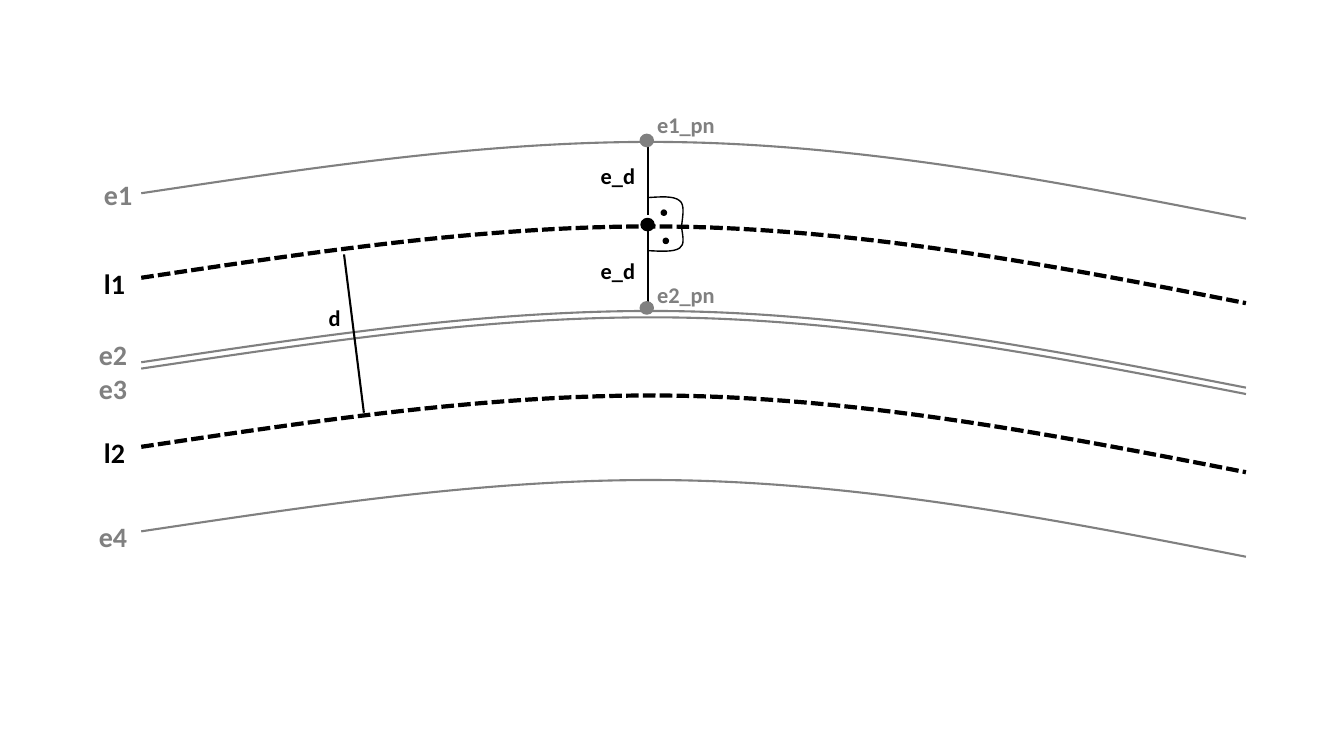
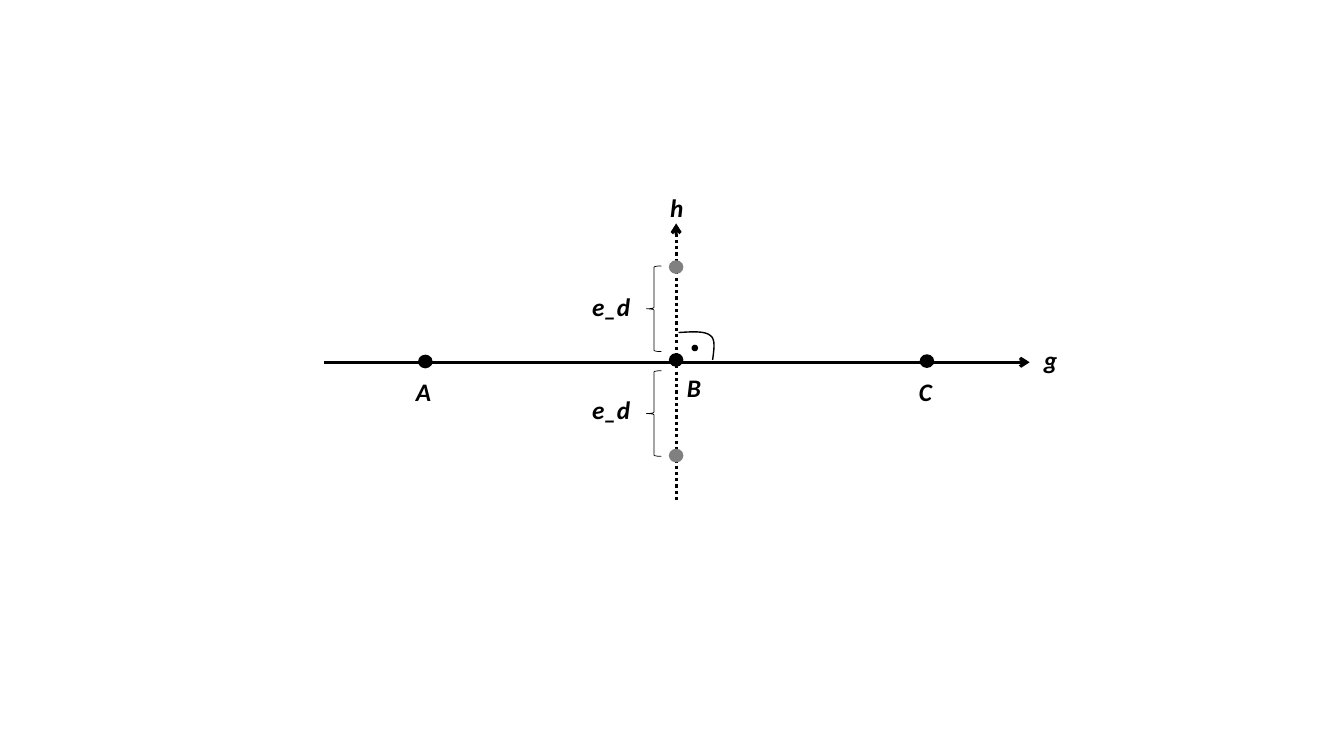
import pptx
import pptx.util
import pptx.dml.color
import pptx.enum.dml
import pptx.enum.shapes
import pptx.enum.text
import pptx.oxml
import pptx.oxml.ns

Cm, Pt = pptx.util.Cm, pptx.util.Pt
SHAPE = pptx.enum.shapes.MSO_SHAPE
DASH = pptx.enum.dml.MSO_LINE
NS = pptx.oxml.ns.nsdecls("a")

COLORS = {"main": "000000", "edge": "808080"}
FONT = "Calibri"
DOT = (0.33, 0.31)
TINY_DOT = (0.13, 0.13)
LINE_HEIGHT = {16: 0.94, 18: 1.02, 20: 1.11}

# Bezier control points in cm, relative to the start of each curve
LANE = [(0, 0), (4.62, -0.69), (9.25, -1.4), (13.89, -1.28),
        (18.54, -1.16), (23.19, -0.27), (27.84, 0.64)]
ANGLE = [(0, 0), (0.03, -0.25), (0.08, -0.51), (-0.05, -0.61),
         (-0.2, -0.74), (-0.53, -0.71), (-0.86, -0.69)]


def rgb(color):
    """Return the named colour."""
    return pptx.dml.color.RGBColor.from_string(COLORS[color])


def style_line(line, color, width, dash=None):
    """Set colour, width and dash of a line."""
    line.color.rgb = rgb(color)
    line.width = Pt(width)
    if dash is not None:
        line.dash_style = dash


def add_curve(s, x, y, points, color, width, dash=None, stretch=1):
    """Draw cubic Bezier segments from x, y; stretch scales or flips height."""
    track = [(Cm(x + dx), Cm(y + dy * stretch)) for dx, dy in points]
    builder = s.shapes.build_freeform(*track[0], scale=1.0)
    builder.add_line_segments(track[3::3], close=False)
    sp = builder.convert_to_shape()
    segments = list(sp._element.iter(pptx.oxml.ns.qn("a:lnTo")))
    for i, segment in enumerate(segments):
        controls = "".join(f'<a:pt x="{px - sp.left}" y="{py - sp.top}"/>'
                           for px, py in track[3 * i + 1:3 * i + 4])
        segment.getparent().replace(segment, pptx.oxml.parse_xml(
            f"<a:cubicBezTo {NS}>{controls}</a:cubicBezTo>"))
    sp.shadow.inherit = False
    sp.fill.background()
    style_line(sp.line, color, width, dash)


def add_line(s, x1, y1, x2, y2, width, dash=None, arrow=None):
    """Draw a straight line; arrow is headEnd, tailEnd or None."""
    line = s.shapes.add_connector(pptx.enum.shapes.MSO_CONNECTOR.STRAIGHT,
                                  Cm(x1), Cm(y1), Cm(x2), Cm(y2))
    style_line(line.line, "main", width, dash)
    if arrow:
        line.line._get_or_add_ln().append(
            pptx.oxml.parse_xml(f'<a:{arrow} {NS} type="arrow"/>'))
    line._element.spPr.append(pptx.oxml.parse_xml(f"<a:effectLst {NS}/>"))


def add_dot(s, x, y, color="main", size=DOT):
    """Draw a filled dot centred on x, y."""
    w, h = size
    sp = s.shapes.add_shape(SHAPE.OVAL, Cm(x - w / 2), Cm(y - h / 2), Cm(w), Cm(h))
    sp.shadow.inherit = False
    sp.fill.solid()
    sp.fill.fore_color.rgb = rgb(color)
    style_line(sp.line, color, 1)


def add_brace(s, x, y):
    """Draw a thin brace that opens to the right."""
    sp = s.shapes.add_shape(SHAPE.RIGHT_BRACE, Cm(x), Cm(y), Cm(0.38), Cm(2.16))
    sp.rotation = 180
    sp.shadow.inherit = False
    sp.fill.background()
    style_line(sp.line, "main", 0.5)


def add_label(s, x, y, w, text, size, color="main", italic=False):
    """Write a bold label, one paragraph for each line of text."""
    lines = text.count("\n") + 1
    tb = s.shapes.add_textbox(Cm(x), Cm(y), Cm(w), Cm(LINE_HEIGHT[size] * lines))
    tf = tb.text_frame
    tf.word_wrap = True
    tf.auto_size = pptx.enum.text.MSO_AUTO_SIZE.SHAPE_TO_FIT_TEXT
    tf.text = text
    for p in tf.paragraphs:
        for r in p.runs:
            r.font.name, r.font.size = FONT, Pt(size)
            r.font.bold = True
            if italic:
                r.font.italic = True
            r.font.color.rgb = rgb(color)


def draw_lanes(s, left, top):
    """Draw the lane centre lines and edges with their names."""
    half_lane = 2.13
    start = top + 1.27
    for level in (1, 3):
        add_curve(s, left, start + level * half_lane, LANE, "main", 3,
                  DASH.SQUARE_DOT)
    for offset in (0, 2 * half_lane, 2 * half_lane + 0.16, 4 * half_lane):
        add_curve(s, left, start + offset, LANE, "edge", 1.5)
    for text, dx, dy, w, color in (
            ("e1", -1.19, 0.76, 1.52, "edge"),
            ("l1", -1.19, 3.0, 1.27, "main"),
            ("e2\ne3", -1.32, 4.78, 1.52, "edge"),
            ("l2", -1.19, 7.26, 1.27, "main"),
            ("e4", -1.32, 9.37, 1.52, "edge")):
        add_label(s, left + dx, top + dy, w, text, 20, color)


def draw_distances(s, left, top):
    """Draw the normal through l1, its right angles and the lane distance."""
    normal = left + 12.76
    add_line(s, normal, top + 0.03, normal, top + 1.83, 1.5)
    add_line(s, normal, top + 2.18, normal, top + 4.06, 1.5)
    add_line(s, left + 5.11, top + 2.81, left + 5.61, top + 6.8, 1.5)
    add_curve(s, normal + 0.86, top + 2.07, ANGLE, "main", 1)
    add_curve(s, normal + 0.86, top + 2.15, ANGLE, "main", 1, stretch=-0.82)
    add_dot(s, normal + 0.41, top + 1.76, size=TINY_DOT)
    add_dot(s, normal + 0.46, top + 2.47, size=TINY_DOT)
    add_dot(s, normal, top + 2.06)
    for y in (-0.06, 4.16):
        add_dot(s, normal - 0.02, top + y, "edge")
    for text, x, y, w, color in (
            ("e_d", normal - 1.43, 0.36, 1.65, "main"),
            ("e_d", normal - 1.43, 2.75, 1.65, "main"),
            ("d", left + 4.47, 3.94, 0.94, "main"),
            ("e1_pn", normal - 0.01, -0.93, 2.18, "edge"),
            ("e2_pn", normal - 0.01, 3.36, 2.18, "edge")):
        add_label(s, x, top + y, w, text, 16, color)


def draw_axes(s, left, top, width, height):
    """Draw the axes g and h with points, braces and a right angle."""
    x, y = left + 8.87, top + 3.5
    add_line(s, left, y, left + width, y, 2.25, arrow="tailEnd")
    add_line(s, x, top, x, top + height, 2.25, DASH.ROUND_DOT, "headEnd")
    for dx, dy in ((-6.32, -0.02), (0, -0.06), (6.32, -0.03)):
        add_dot(s, x + dx, y + dy)
    for dy in (-2.4, 2.35):
        add_dot(s, x, y + dy, "edge")
    add_curve(s, x + 0.92, y - 0.06, ANGLE, "main", 1)
    add_dot(s, x + 0.47, y - 0.36, size=TINY_DOT)
    for dy in (-2.43, 0.21):
        add_brace(s, x - 0.75, y + dy)
    for text, dx, dy, w in (
            ("A", -6.81, 0.24, 0.97), ("B", 0.02, 0.12, 0.74),
            ("C", 5.87, 0.24, 0.89), ("g", 9.02, -0.57, 0.86),
            ("h", -0.4, -4.41, 0.86), ("e_d", -2.37, -1.92, 1.55),
            ("e_d", -2.37, 0.67, 1.55)):
        add_label(s, x + dx, y + dy, w, text, 18, italic=True)


def main():
    """Build both slides and save them."""
    prs = pptx.Presentation()
    prs.slide_width, prs.slide_height = Cm(33.87), Cm(19.05)
    blank = prs.slide_layouts[6]
    s = prs.slides.add_slide(blank)
    draw_lanes(s, 3.56, 3.6)
    draw_distances(s, 3.56, 3.6)
    s = prs.slides.add_slide(blank)
    draw_axes(s, 8.17, 5.63, 17.78, 6.99)
    prs.save("out.pptx")


main()
